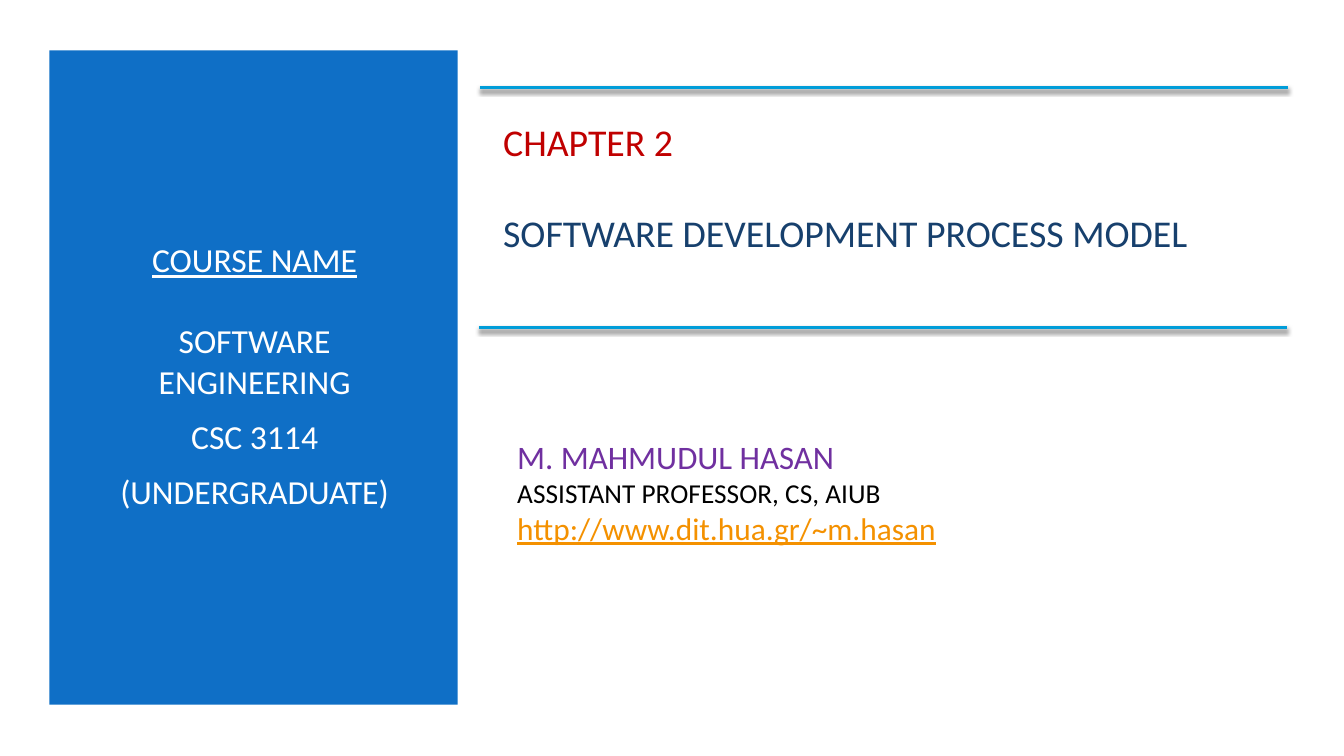
from pptx import Presentation
from pptx.dml.color import RGBColor
from pptx.enum.shapes import MSO_CONNECTOR as Connector, MSO_SHAPE as Shape
from pptx.enum.text import MSO_ANCHOR as Anchor, MSO_AUTO_SIZE as AutoSize, PP_ALIGN as Align
from pptx.oxml import parse_xml
from pptx.oxml.ns import nsdecls
from pptx.util import Pt

PX = 9144  # 100 px to the inch

BLUE = RGBColor(0x0F, 0x6F, 0xC6)
CYAN = RGBColor(0x00, 0x9D, 0xD9)
NAVY = RGBColor(0x17, 0x40, 0x6D)
RED = RGBColor(0xC0, 0x00, 0x00)
PURPLE = RGBColor(0x70, 0x30, 0xA0)
ORANGE = RGBColor(0xF4, 0x91, 0x00)
BLACK = RGBColor(0x00, 0x00, 0x00)
WHITE = RGBColor(0xFF, 0xFF, 0xFF)

SHADOW = (
    f'<a:effectLst {nsdecls("a")}>'
    '<a:outerShdw blurRad="38100" dist="25400" dir="5400000" rotWithShape="0">'
    '<a:srgbClr val="000000"><a:alpha val="55000"/></a:srgbClr>'
    '</a:outerShdw></a:effectLst>'
)


class CoverPage:
    """Holds the style and the current slide."""

    font_name = "Calibri"

    def __init__(self, deck):
        self.page = deck.slides.add_slide(deck.slide_layouts[3])

    def panel(self, left, top, width, height, color):
        panel = self.page.shapes.add_shape(
            Shape.RECTANGLE, left * PX, top * PX, width * PX, height * PX)
        panel.shadow.inherit = False
        panel.fill.solid()
        panel.fill.fore_color.rgb = color
        panel.line.fill.background()
        # Placeholders stay in front of the panel
        tree = panel.element.getparent()
        tree.insert(2, panel.element)

    def rule(self, left, top, width):
        rule = self.page.shapes.add_connector(
            Connector.STRAIGHT, left * PX, top * PX, (left + width) * PX, top * PX)
        rule.line.color.rgb = CYAN
        rule.line.width = Pt(2)
        rule.element.spPr.append(parse_xml(SHADOW))

    def text(self, index, left, top, width, height, lines, align=Align.LEFT):
        """Each line is (text, size, color, underline, space before, space after)."""
        box = self.page.placeholders[index]
        box.left, box.top = left * PX, top * PX
        box.width, box.height = width * PX, height * PX
        frame = box.text_frame
        frame.word_wrap = True
        frame.auto_size = AutoSize.NONE
        frame.vertical_anchor = Anchor.MIDDLE
        frame.text = "\n".join(line[0] for line in lines)
        for para, (_, size, color, underline, before, after) in zip(frame.paragraphs, lines):
            props = para._p.get_or_add_pPr()
            props.set("marL", "0")
            props.set("indent", "0")
            props.append(parse_xml(f'<a:buNone {nsdecls("a")}/>'))
            para.alignment = align
            para.line_spacing = 1.0
            para.space_before, para.space_after = Pt(before), Pt(after)
            for span in para.runs:
                span.font.name = self.font_name
                span.font.size = Pt(size)
                span.font.color.rgb = color
                span.font.underline = underline


def main():
    deck = Presentation()
    deck.slide_width, deck.slide_height = 1333 * PX, 750 * PX
    cover = CoverPage(deck)

    # Course panel
    cover.panel(49, 50, 405, 649, BLUE)
    cover.text(1, 84, 110, 337, 525, [
        ("COURSE NAME", 24, WHITE, True, 0, 29),
        ("SOFTWARE ENGINEERING", 24, WHITE, False, 0, 6),
        ("CSC 3114", 24, WHITE, False, 4.8, 6),
        ("(UNDERGRADUATE)", 24, WHITE, False, 4.8, 6),
    ], Align.CENTER)

    # Chapter title between two rules
    cover.text(0, 489, 110, 785, 151, [
        ("CHAPTER 2", 27, RED, False, 0, 32),
        ("SOFTWARE DEVELOPMENT PROCESS MODEL", 27, NAVY, False, 0, 0),
    ])
    cover.rule(476, 87, 801)
    cover.rule(475, 325, 801)

    # Lecturer
    cover.text(2, 503, 410, 666, 156, [
        ("M. MAHMUDUL HASAN", 23.4, PURPLE, False, 0, 0),
        ("ASSISTANT PROFESSOR, CS, AIUB", 19.5, BLACK, False, 0, 0),
        ("http://www.dit.hua.gr/~m.hasan", 22.4, ORANGE, True, 0, 0),
    ])

    deck.save("out.pptx")


if __name__ == "__main__":
    main()
